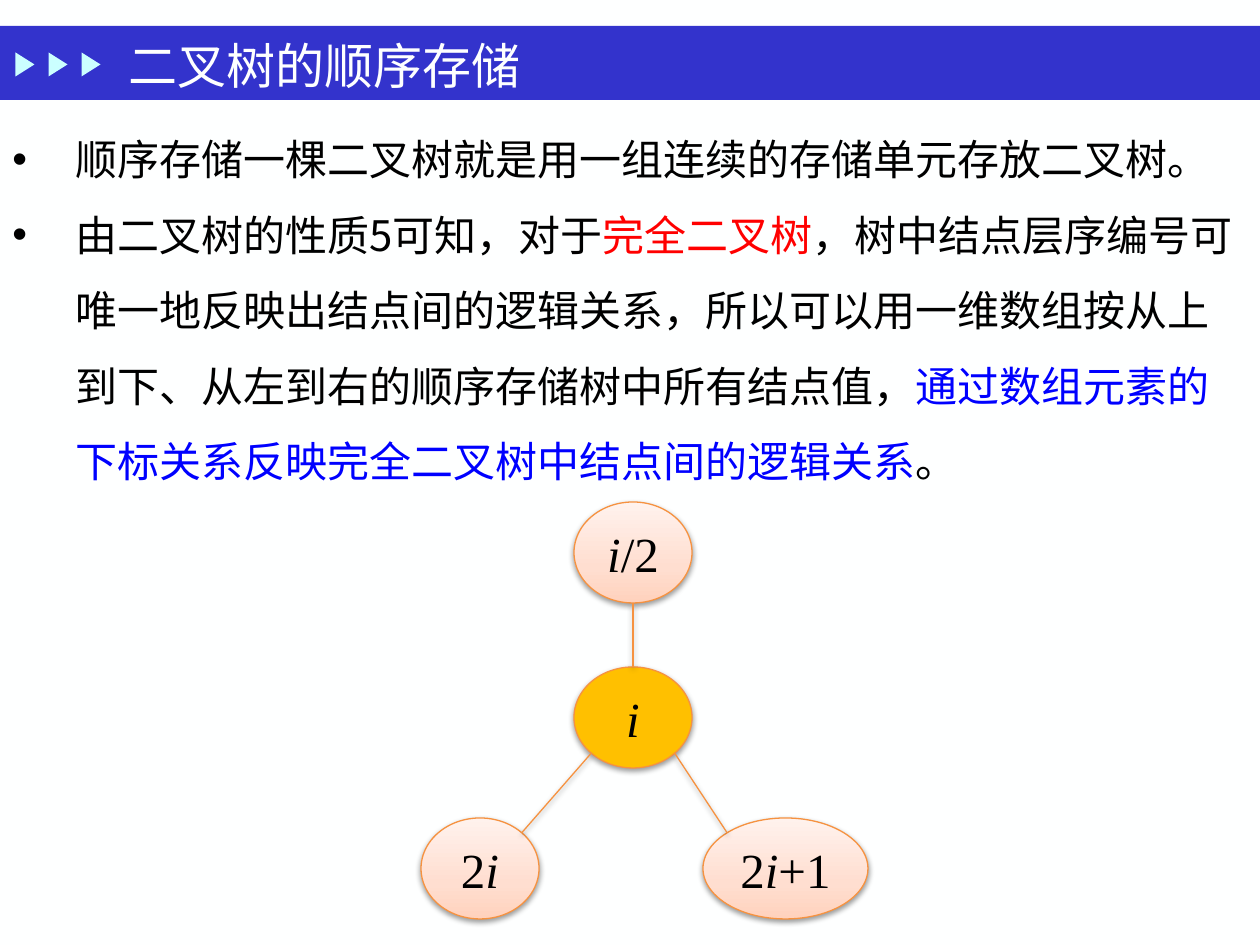
import copy
import math

from lxml import etree
from pptx import Presentation
from pptx import util as u
from pptx.dml.color import RGBColor
from pptx.enum import shapes, text
from pptx.oxml.ns import qn

PX = 914400 / 126
SERIF, SANS = "Times New Roman", "Noto Sans CJK SC"
WHITE, BLACK, RED, BLUE = "FEFFFF", "000000", "FF0000", "0000FF"
BAND, ARROW, GOLD, ORANGE = "3333CC", "CBFFFF", "FFC000", "F69240"
PEACH = [(0, "FFD2BD"), (0.35, "FFDED0"), (1, "FFF2ED")]


def px(*lengths):
    return [u.Emu(round(length * PX)) for length in lengths]


def color(value):
    return RGBColor.from_string(value)


def add_span(para, words, size, font, fill, italic=False):
    span = para.add_run()
    span.text = words
    span.font.size = u.Pt(size)
    span.font.italic = italic
    span.font.color.rgb = color(fill)
    span.font.name = font
    east_asian = etree.SubElement(span.font._element, qn("a:ea"))
    east_asian.set("typeface", SANS)


def add_shadow(item):
    effects = etree.SubElement(item._element.spPr, qn("a:effectLst"))
    shadow = etree.SubElement(effects, qn("a:outerShdw"), blurRad="40000",
                              dist="20000", dir="5400000", rotWithShape="0")
    black = etree.SubElement(shadow, qn("a:srgbClr"), val=BLACK)
    etree.SubElement(black, qn("a:alpha"), val="38000")


def fill_gradient(shape, stops):
    """Fill from bottom to top with three or more (position, colour) stops."""
    shape.fill.gradient()
    shape.fill.gradient_angle = 90
    stop_list = shape._element.spPr.find(".//" + qn("a:gsLst"))
    while len(stop_list) < len(stops):
        stop_list.append(copy.deepcopy(stop_list[0]))
    for stop, (position, value) in zip(shape.fill.gradient_stops, stops):
        stop.position = position
        stop.color.rgb = color(value)


def rim_point(node, degrees):
    """Point on an ellipse's rim, the angle running clockwise from the right."""
    angle = math.radians(degrees)
    return (round(node.left + node.width / 2 * (1 + math.cos(angle))),
            round(node.top + node.height / 2 * (1 + math.sin(angle))))


class SlideBuilder:
    def __init__(self, slide):
        self.slide = slide
        self.canvas = slide.shapes
        slide.background.fill.solid()
        slide.background.fill.fore_color.rgb = color(WHITE)

    def start_group(self):
        self.canvas = self.slide.shapes.add_group_shape().shapes

    def end_group(self):
        self.canvas = self.slide.shapes

    def plain(self, kind, box, fill):
        shape = self.canvas.add_shape(kind, *px(*box))
        shape.shadow.inherit = False
        shape.fill.solid()
        shape.fill.fore_color.rgb = color(fill)
        shape.line.fill.background()
        return shape

    def title(self, box, words):
        title = self.slide.shapes.title
        title.left, title.top, title.width, title.height = px(*box)
        frame = title.text_frame
        frame.auto_size = text.MSO_AUTO_SIZE.NONE
        frame.vertical_anchor = text.MSO_ANCHOR.MIDDLE
        para = frame.paragraphs[0]
        para.alignment = text.PP_ALIGN.LEFT
        add_span(para, words, 28, SERIF, WHITE)
        # Keep the title in front of the band
        self.slide.shapes._spTree.append(title._element)

    def bullets(self, box, items):
        frame = self.canvas.add_textbox(*px(*box)).text_frame
        frame.word_wrap = True
        for index, spans in enumerate(items):
            para = frame.add_paragraph() if index else frame.paragraphs[0]
            para.line_spacing = 1.5
            props = para._p.get_or_add_pPr()
            indent = px(63)[0]
            props.set("marL", str(indent))
            props.set("indent", str(-indent))
            etree.SubElement(props, qn("a:buFont"), typeface="Arial")
            etree.SubElement(props, qn("a:buChar"), char="•")
            for words, fill in spans:
                add_span(para, words, 24, SANS, fill)

    def node(self, box, spans, fill=None):
        """Draw a tree node; spans are (words, italic), no fill means peach."""
        node = self.plain(shapes.MSO_SHAPE.OVAL, box, fill or GOLD)
        if not fill:
            fill_gradient(node, PEACH)
        node.line.color.rgb = color(ORANGE)
        node.line.width = u.Pt(0.75)
        effects = node._element.spPr.find(qn("a:effectLst"))
        node._element.spPr.remove(effects)
        add_shadow(node)
        frame = node.text_frame
        frame.word_wrap = False
        frame.margin_left = frame.margin_right = 0
        frame.vertical_anchor = text.MSO_ANCHOR.MIDDLE
        para = frame.paragraphs[0]
        para.alignment = text.PP_ALIGN.CENTER
        for words, italic in spans:
            add_span(para, words, 28, SERIF, BLACK, italic)
        return node

    def edge(self, parent, leave, child, arrive):
        line = self.canvas.add_connector(
            shapes.MSO_CONNECTOR.STRAIGHT,
            *rim_point(parent, leave), *rim_point(child, arrive))
        line.line.color.rgb = color(ORANGE)
        line.line.width = u.Pt(0.75)
        add_shadow(line)


def main():
    deck = Presentation()
    deck.slide_width, deck.slide_height = px(1260, 945)
    page = SlideBuilder(deck.slides.add_slide(deck.slide_layouts[5]))

    page.plain(shapes.MSO_SHAPE.RECTANGLE, (0, 26, 1260, 74), BAND)
    page.start_group()
    for index in range(3):
        arrow = page.plain(shapes.MSO_SHAPE.ISOSCELES_TRIANGLE,
                           (13 + 33 * index, 55, 24, 19), ARROW)
        arrow.rotation = 90
    page.end_group()
    page.title((116, 33, 882, 63), "二叉树的顺序存储")

    page.bullets((0, 102, 1260, 383), [
        [("顺序存储一棵二叉树就是用一组连续的存储单元存放二叉树。", BLACK)],
        [("由二叉树的性质5可知，对于", BLACK),
         ("完全二叉树", RED),
         ("，树中结点层序编号可唯一地反映出结点间的逻辑关系，"
          "所以可以用一维数组按从上到下、从左到右的顺序存储树中所有结点值，", BLACK),
         ("通过数组元素的下标关系反映完全二叉树中结点间的逻辑关系", BLUE),
         ("。", BLACK)],
    ])

    page.start_group()
    parent = page.node((574, 502, 118, 101), [("i", True), ("/2", False)])
    current = page.node((574, 667, 118, 101), [("i", True)], GOLD)
    left = page.node((421, 818, 118, 101), [("2", False), ("i", True)])
    right = page.node((703, 818, 165, 101),
                      [("2", False), ("i", True), ("+1", False)])
    page.edge(parent, 90, current, 270)
    page.edge(current, 135, left, 315)
    page.edge(current, 45, right, 225)
    page.end_group()

    deck.save("out.pptx")


if __name__ == "__main__":
    main()
